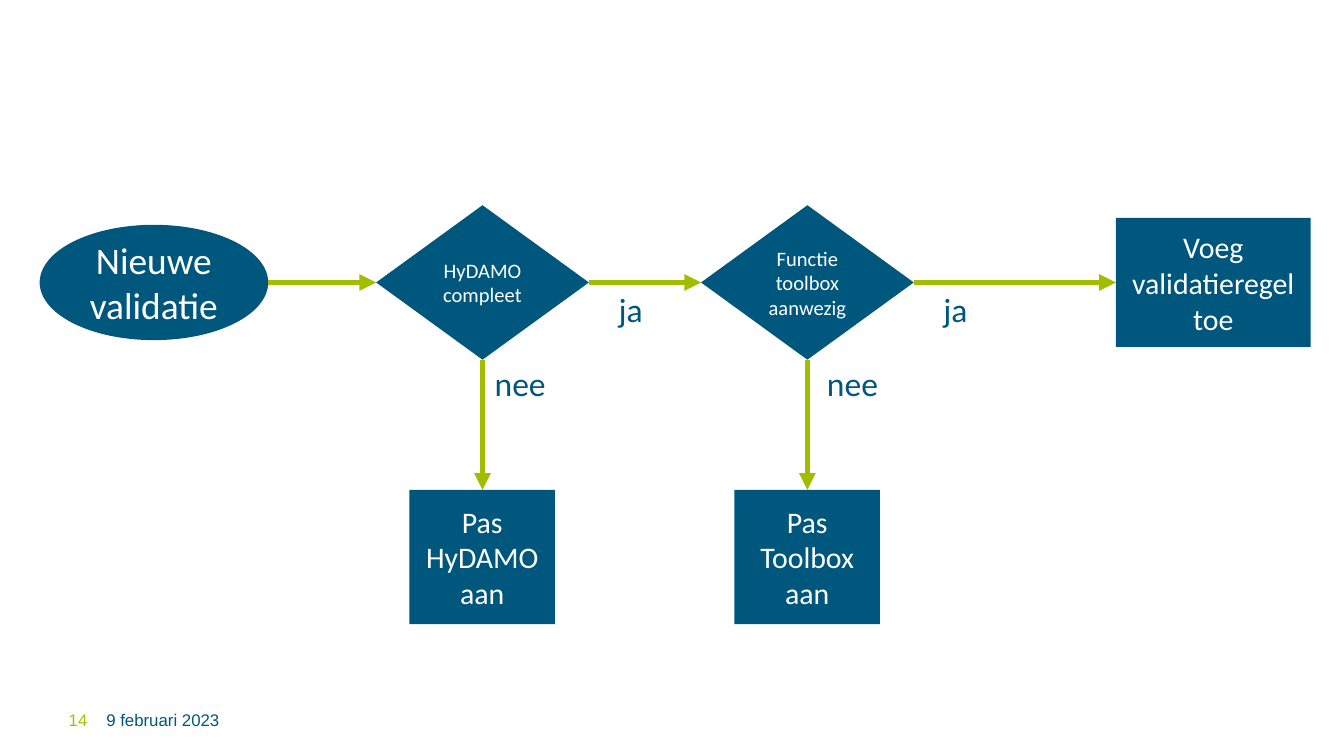
from lxml import etree
from pptx import Presentation
from pptx.dml.color import RGBColor
from pptx.enum import shapes, text
from pptx.oxml.ns import qn
from pptx.util import Cm, Pt

COLORS = {"blue": "00577E", "arrow": "A1BD00", "number": "A5C100", "white": "FFFFFF"}
AXIS = 5.34  # height of the main flow, cm
PITCH = 6.14  # distance between the two decisions, cm
DECISION_W, DECISION_H = 4.02, 2.92


def color(name):
    return RGBColor.from_string(COLORS[name])


def write(sp, words, size=18, font="Calibri", fill="blue", align=text.PP_ALIGN.LEFT,
          anchor=text.MSO_ANCHOR.TOP, wrap=True, margin=None):
    tf = sp.text_frame
    tf.word_wrap = wrap
    tf.vertical_anchor = anchor
    if margin is not None:
        tf.margin_left = tf.margin_right = tf.margin_top = tf.margin_bottom = Cm(margin)
    p = tf.paragraphs[0]
    p.alignment = align
    r = p.add_run()
    r.text = words
    r.font.size, r.font.name, r.font.color.rgb = Pt(size), font, color(fill)


def add_text(s, words, left, top, width, height, **fmt):
    sp = s.shapes.add_textbox(Cm(left), Cm(top), Cm(width), Cm(height))
    write(sp, words, **fmt)


def add_node(s, kind, words, left, top, width, height, size=16):
    sp = s.shapes.add_shape(kind, Cm(left), Cm(top), Cm(width), Cm(height))
    sp.shadow.inherit = False
    sp.fill.solid()
    sp.fill.fore_color.rgb = color("blue")
    sp.line.fill.background()
    write(sp, words, size=size, fill="white", align=text.PP_ALIGN.CENTER,
          anchor=text.MSO_ANCHOR.MIDDLE)
    return sp


def add_arrow(s, start, end, down=False):
    """Join two nodes, right edge to left edge or bottom to top."""
    if down:
        x = start.left + start.width // 2
        ends = x, start.top + start.height, x, end.top
    else:
        y = Cm(AXIS)
        ends = start.left + start.width, y, end.left, y
    line = s.shapes.add_connector(shapes.MSO_CONNECTOR.STRAIGHT, *ends)
    line.line.color.rgb = color("arrow")
    line.line.width = Pt(3)
    etree.SubElement(line.line._get_or_add_ln(), qn("a:tailEnd"), type="triangle")
    etree.SubElement(line._element.spPr, qn("a:effectLst"))


def add_decision(s, left, question, action, no_gap):
    """Decision with its yes and no labels and the action below it."""
    kinds = shapes.MSO_SHAPE
    center = left + DECISION_W / 2
    top = AXIS - DECISION_H / 2
    decision = add_node(s, kinds.FLOWCHART_DECISION, question, left, top,
                        DECISION_W, DECISION_H, size=11)
    box = add_node(s, kinds.RECTANGLE, action, center - 1.38, top + 5.38, 2.75, 2.54)
    add_arrow(s, decision, box, down=True)
    add_text(s, "ja", left + DECISION_W + 0.31, AXIS, 0.97, 1.02, wrap=False)
    add_text(s, "nee", center + no_gap, top + 2.85, 1.5, 1.02, wrap=False)
    return decision


def add_flow(s, left):
    kinds = shapes.MSO_SHAPE
    # Start, decisions and end
    start = add_node(s, kinds.OVAL, "Nieuwe validatie", left, AXIS - 1.09, 4.32, 2.18, size=20)
    first = left + 6.36
    hydamo = add_decision(s, first, "HyDAMO compleet", "Pas HyDAMO aan", -0.02)
    toolbox = add_decision(s, first + PITCH, "Functie toolbox aanwezig", "Pas Toolbox aan", 0.12)
    end = add_node(s, kinds.RECTANGLE, "Voeg validatieregel toe", left + 20.34,
                   AXIS - 1.22, 3.68, 2.44)
    # Arrows along the main flow
    steps = [start, hydamo, toolbox, end]
    for a, b in zip(steps, steps[1:]):
        add_arrow(s, a, b)


def add_footer(s, left, top, height):
    fmt = dict(size=9, font="Arial", anchor=text.MSO_ANCHOR.MIDDLE, margin=0)
    add_text(s, "14", left, top, 0.51, height, fill="number", **fmt)
    add_text(s, "9 februari 2023", left + 0.71, top, 11.99, height, **fmt)


def main():
    prs = Presentation()
    prs.slide_width, prs.slide_height = Cm(25.4), Cm(14.29)
    s = prs.slides.add_slide(prs.slide_layouts[6])
    add_flow(s, 0.75)
    add_footer(s, 1.3, 13.41, 0.38)
    prs.save("out.pptx")


if __name__ == "__main__":
    main()
